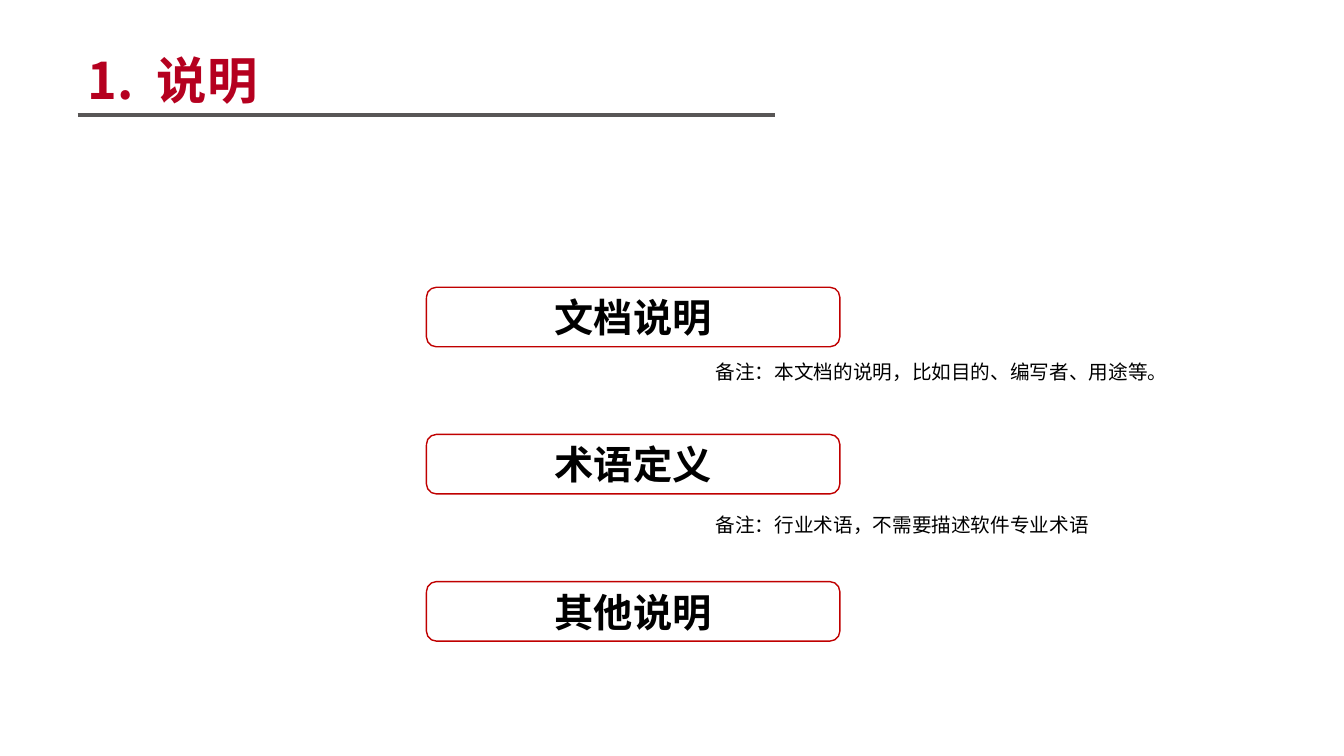
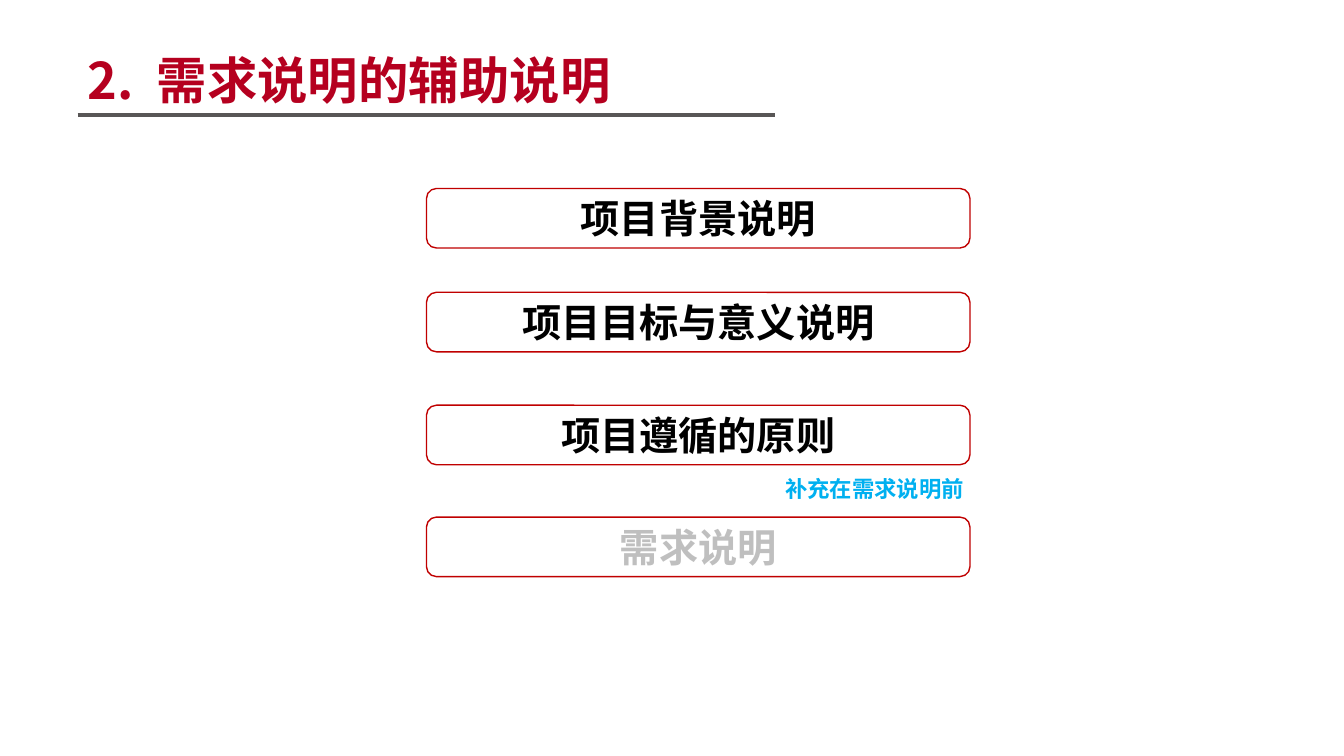
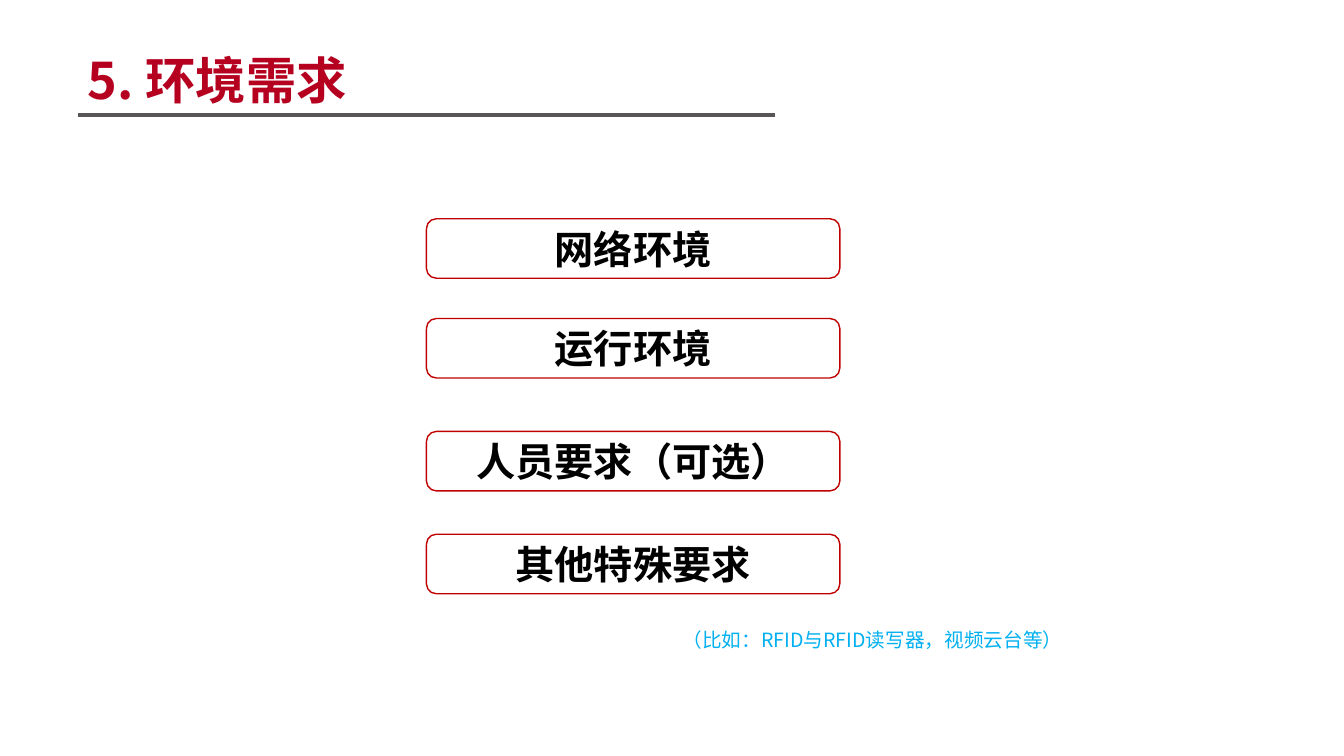
from lxml.etree import SubElement
from pptx import Presentation
from pptx.dml.color import RGBColor
from pptx.enum.shapes import MSO_CONNECTOR as CONN, MSO_SHAPE as SHAPE
from pptx.enum.text import MSO_ANCHOR as ANCHOR, MSO_AUTO_SIZE as AUTO, PP_ALIGN as ALIGN
from pptx.oxml.ns import qn
from pptx.util import Inches, Pt

FONT = "Noto Sans CJK SC"
TITLE_RED = RGBColor(0xB5, 0x00, 0x1F)
BOX_RED = RGBColor(0xC0, 0x00, 0x00)
RULE_GREY = RGBColor(0x58, 0x56, 0x56)
MUTED = RGBColor(0xBF, 0xBF, 0xBF)
BLUE = RGBColor(0x00, 0xB0, 0xF0)
BLACK = RGBColor(0, 0, 0)

MARGIN = 0.77
BOX_LEFT, BOX_HEIGHT = 4.23, 0.59
BOX_WIDTH, WIDE_BOX = 4.1, 5.39


def write(shape, text, size=14, color=BLACK, bold=False, align=ALIGN.LEFT, spacing=1.0):
    """Fill a shape with one formatted paragraph."""
    tf = shape.text_frame
    tf.word_wrap = True
    tf.auto_size = AUTO.NONE
    tf.vertical_anchor = ANCHOR.MIDDLE
    p = tf.paragraphs[0]
    p.alignment = align
    p.line_spacing = spacing
    r = p.add_run()
    r.text = text
    r.font.size = Pt(size)
    r.font.bold = bold
    r.font.color.rgb = color
    r.font.name = FONT
    SubElement(r.font._element, qn("a:ea"), typeface=FONT)


def add_titled_slide(prs, title):
    """Add a slide with the shared title style and its rule."""
    s = prs.slides.add_slide(prs.slide_layouts[5])
    sp = s.shapes.title
    sp.left, sp.top = Inches(MARGIN), Inches(0.43)
    sp.width, sp.height = Inches(8.7), Inches(0.71)
    write(sp, title, size=36, color=TITLE_RED, bold=True)

    rule = s.shapes.add_connector(
        CONN.STRAIGHT, Inches(MARGIN), Inches(1.14), Inches(7.69), Inches(1.14))
    rule.line.color.rgb = RULE_GREY
    rule.line.width = Pt(3)
    SubElement(rule._element.spPr, qn("a:effectLst"))
    return s


def add_box(s, text, top, width=BOX_WIDTH, color=BLACK):
    """Add a rounded topic box."""
    sp = s.shapes.add_shape(SHAPE.ROUNDED_RECTANGLE, Inches(BOX_LEFT), Inches(top),
                            Inches(width), Inches(BOX_HEIGHT))
    sp.shadow.inherit = False
    sp.fill.background()
    sp.line.color.rgb = BOX_RED
    sp.line.width = Pt(1)
    write(sp, text, size=28, color=color, bold=True, align=ALIGN.CENTER)


def add_note(s, text, left, top, width, height=0.34, **fmt):
    """Add a small remark below a box."""
    sp = s.shapes.add_textbox(Inches(left), Inches(top), Inches(width), Inches(height))
    write(sp, text, spacing=0.84, **fmt)


def build_notes_slide(prs):
    s = add_titled_slide(prs, "1.  说明")
    for i, topic in enumerate(("文档说明", "术语定义", "其他说明")):
        add_box(s, topic, 2.85 + 1.46 * i)
    add_note(s, "备注：本文档的说明，比如目的、编写者、用途等。", 7, 3.54, 4.72)
    add_note(s, "备注：行业术语，不需要描述软件专业术语", 7, 5.05, 3.93)


def build_support_slide(prs):
    s = add_titled_slide(prs, "2.  需求说明的辅助说明")
    for topic, top, color in (("项目背景说明", 1.87, BLACK),
                              ("项目目标与意义说明", 2.9, BLACK),
                              ("项目遵循的原则", 4.02, BLACK),
                              ("需求说明", 5.13, MUTED)):
        add_box(s, topic, top, width=WIDE_BOX, color=color)
    add_note(s, "补充在需求说明前", 7.69, 4.68, 2, 0.37, size=16, color=BLUE, bold=True)


def build_environment_slide(prs):
    s = add_titled_slide(prs, "5. 环境需求")
    for topic, top in (("网络环境", 2.17), ("运行环境", 3.16),
                       ("人员要求（可选）", 4.28), ("其他特殊要求", 5.3)):
        add_box(s, topic, top)
    add_note(s, "（比如：RFID与RFID读写器，视频云台等）", 6.67, 6.07, 4.09, 0.58, color=BLUE)


def main():
    prs = Presentation()
    prs.slide_width, prs.slide_height = Inches(13.33), Inches(7.5)
    build_notes_slide(prs)
    build_support_slide(prs)
    build_environment_slide(prs)
    prs.save("out.pptx")


if __name__ == "__main__":
    main()
